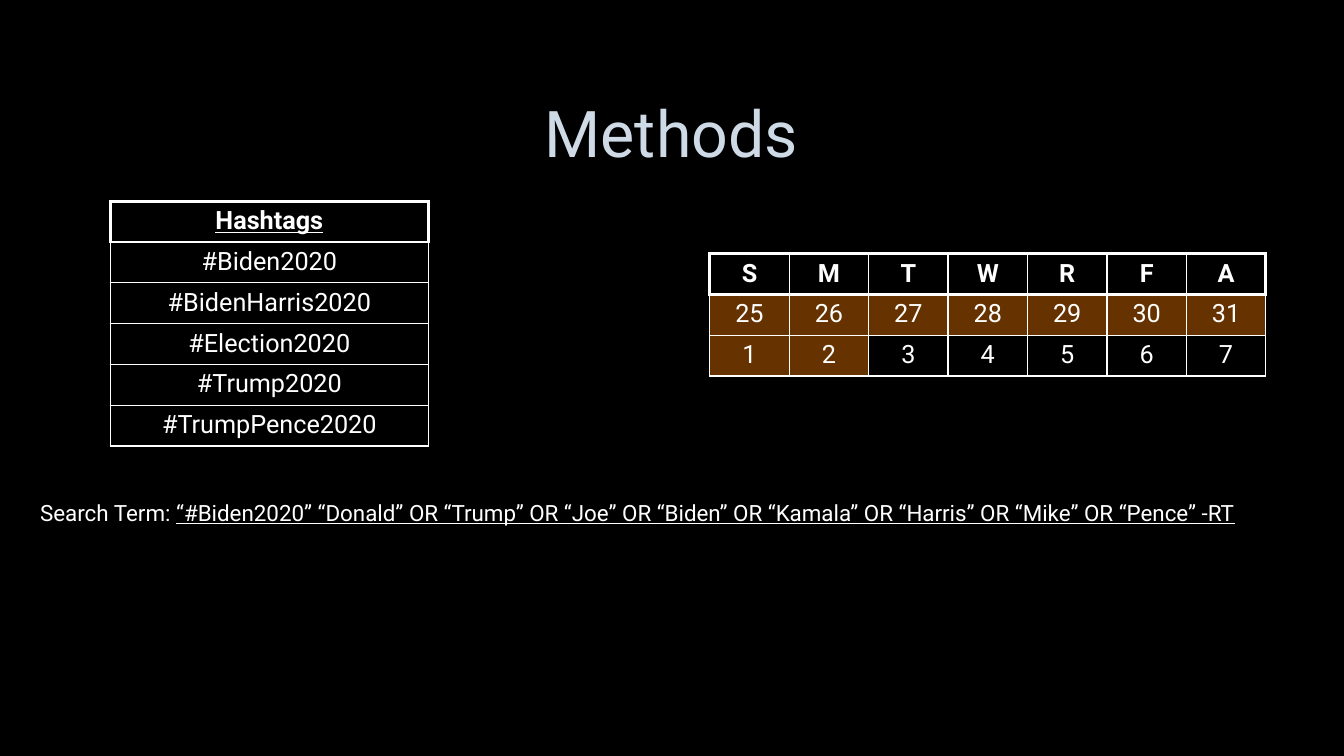
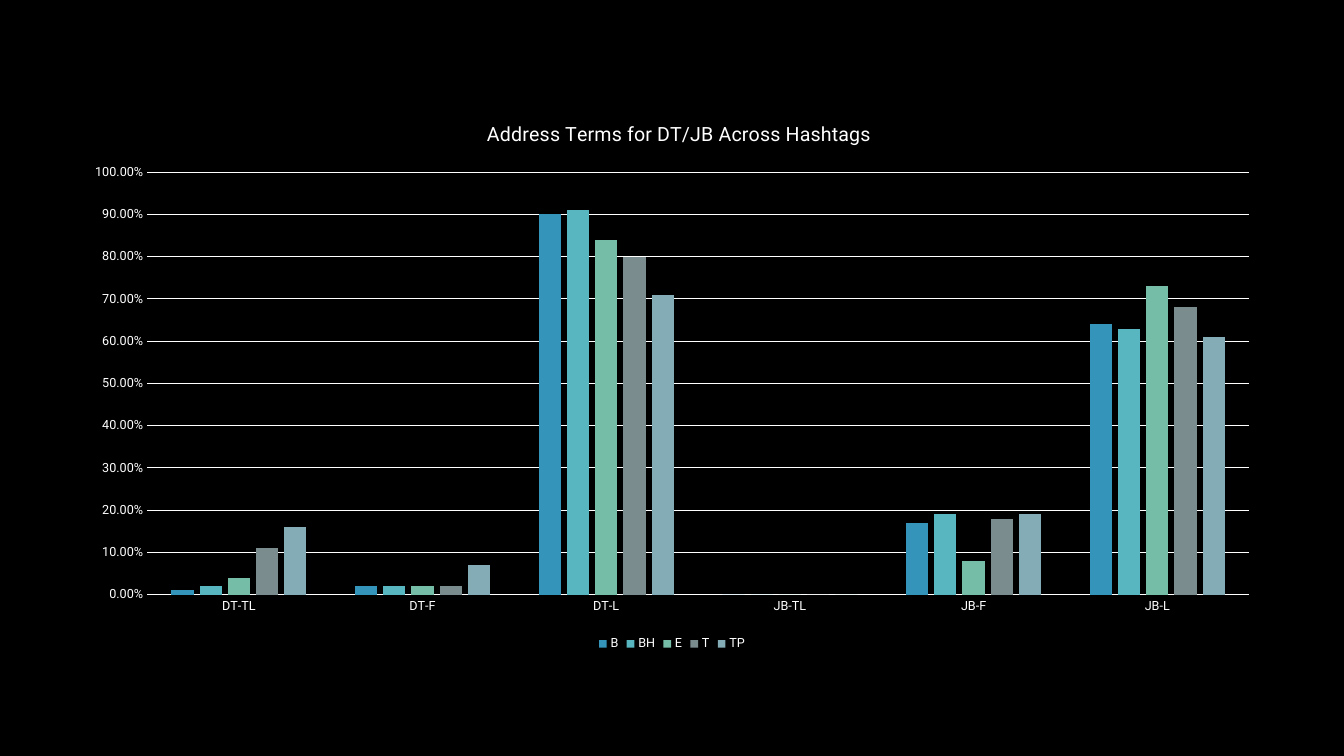
from dataclasses import dataclass
from typing import NamedTuple

from lxml.etree import SubElement
from pptx import Presentation
from pptx.chart.data import CategoryChartData
from pptx.dml.color import RGBColor
from pptx.enum.chart import XL_CHART_TYPE, XL_LEGEND_POSITION, XL_TICK_MARK
from pptx.enum.text import MSO_ANCHOR, MSO_AUTO_SIZE, PP_ALIGN
from pptx.oxml.ns import qn
from pptx.util import Emu, Inches, Pt


@dataclass(frozen=True)
class Theme:
    """Colours, font and type sizes of the deck."""
    font: str = "Roboto"
    background: str = "000000"
    text: str = "FFFFFF"
    title: str = "CEDBE6"
    title_outline: str = "404040"
    highlight: str = "663300"
    title_size: float = 46
    table_size: float = 18
    body_size: float = 16
    chart_title_size: float = 14
    chart_size: float = 9
    thin: float = 1
    thick: float = 2.25
    hairline: float = 0.75


class Box(NamedTuple):
    """Left, top, width and height in grid units."""
    left: float
    top: float
    width: float
    height: float


@dataclass(frozen=True)
class Grid:
    """A table whose first cells below the header may be highlighted."""
    left: float
    top: float
    col_width: float
    rows: list[list[str]]
    highlighted: int = 0
    underline_header: bool = False


class Series(NamedTuple):
    """One chart series."""
    name: str
    color: str
    values: tuple[float, ...]


THEME = Theme()
SLIDE_WIDTH, SLIDE_HEIGHT = Inches(13.33), Inches(7.5)
COLUMNS, ROWS = 160, 90
ROW_HEIGHT = 4.86

TITLE_BOX = Box(12, 8, 135.8, 16.6)
SEARCH_BOX = Box(3.6, 58.8, 152.5, 4.4)
CHART_BOX = Box(8.5, 12.1, 143, 65.9)

HASHTAGS = Grid(13.12, 23.96, 37.9, [
    ["Hashtags"], ["#Biden2020"], ["#BidenHarris2020"],
    ["#Election2020"], ["#Trump2020"], ["#TrumpPence2020"],
], underline_header=True)
CALENDAR = Grid(84.5, 30.2, 9.46, [
    list("SMTWRFA"),
    [str(day) for day in range(25, 32)],
    [str(day) for day in range(1, 8)],
], highlighted=9)

SEARCH_TERM = ("“#Biden2020” “Donald” OR “Trump” OR “Joe” OR “Biden” OR "
               "“Kamala” OR “Harris” OR “Mike” OR “Pence” -RT")

CATEGORIES = ("DT-TL", "DT-F", "DT-L", "JB-TL", "JB-F", "JB-L")
SERIES = (
    Series("B", "3494BA", (0.01, 0.02, 0.9, 0, 0.17, 0.64)),
    Series("BH", "58B6C0", (0.02, 0.02, 0.91, 0, 0.19, 0.63)),
    Series("E", "75BDA7", (0.04, 0.02, 0.84, 0, 0.08, 0.73)),
    Series("T", "7A8C8E", (0.11, 0.02, 0.8, 0, 0.18, 0.68)),
    Series("TP", "84ACB6", (0.16, 0.07, 0.71, 0, 0.19, 0.61)),
)


def rgb(color: str) -> RGBColor:
    """Turn a hex string into a colour."""
    return RGBColor.from_string(color)


def across(columns: float) -> Emu:
    """Length of a number of grid columns."""
    return Emu(round(SLIDE_WIDTH * columns / COLUMNS))


def down(rows: float) -> Emu:
    """Length of a number of grid rows."""
    return Emu(round(SLIDE_HEIGHT * rows / ROWS))


def place(box: Box) -> tuple[Emu, Emu, Emu, Emu]:
    """Convert a grid box to slide lengths."""
    return across(box.left), down(box.top), across(box.width), down(box.height)


def style_font(font, size: float, color: str = THEME.text, bold: bool = False) -> None:
    """Apply the deck font."""
    font.name, font.size, font.bold = THEME.font, Pt(size), bold
    font.color.rgb = rgb(color)


def style_line(line, width: float = THEME.hairline) -> None:
    """Draw a line in the text colour."""
    line.color.rgb = rgb(THEME.text)
    line.width = Pt(width)


def add_slide(prs):
    """Add a blank slide with the dark background."""
    slide = prs.slides.add_slide(prs.slide_layouts[6])
    fill = slide.background.fill
    fill.solid()
    fill.fore_color.rgb = rgb(THEME.background)
    return slide


def add_solid_fill(parent, color: str):
    """Append a solid fill element and return its colour."""
    fill = SubElement(parent, qn("a:solidFill"))
    return SubElement(fill, qn("a:srgbClr"), val=color)


def add_title(slide, text: str) -> None:
    """Add the centred slide title with its faint outline."""
    tf = slide.shapes.add_textbox(*place(TITLE_BOX)).text_frame
    tf.word_wrap = True
    tf.vertical_anchor = MSO_ANCHOR.MIDDLE
    p = tf.paragraphs[0]
    p.alignment, p.line_spacing = PP_ALIGN.CENTER, 0.9
    style_font(p.font, THEME.title_size, THEME.title)
    r = p.add_run()
    r.text = text
    line = SubElement(r._r.get_or_add_rPr(), qn("a:ln"), w=str(Pt(THEME.hairline)))
    SubElement(add_solid_fill(line, THEME.title_outline), qn("a:alpha"), val="10000")


def add_search_term(slide) -> None:
    """Add the search query with its label."""
    tf = slide.shapes.add_textbox(*place(SEARCH_BOX)).text_frame
    tf.word_wrap = True
    tf.auto_size = MSO_AUTO_SIZE.SHAPE_TO_FIT_TEXT
    p = tf.paragraphs[0]
    style_font(p.font, THEME.body_size)
    p.add_run().text = "Search Term: "
    r = p.add_run()
    r.text = SEARCH_TERM
    r.font.underline = True


def set_borders(cell, thick_sides: str) -> None:
    """Border a cell, thick on the named sides and thin elsewhere."""
    for side in "LRTB":
        width = THEME.thick if side in thick_sides else THEME.thin
        line = SubElement(cell._tc.get_or_add_tcPr(), qn(f"a:ln{side}"), w=str(Pt(width)))
        add_solid_fill(line, THEME.text)


def thick_sides(row: int, col: int, cols: int) -> str:
    """Name the sides of a cell that lie on the header's frame."""
    if row > 0:
        return "T" if row == 1 else ""
    return "TB" + "L" * (col == 0) + "R" * (col == cols - 1)


def add_grid(slide, grid: Grid) -> None:
    """Add a bordered table with a framed header row."""
    rows, cols = len(grid.rows), len(grid.rows[0])
    box = Box(grid.left, grid.top, grid.col_width * cols, ROW_HEIGHT * rows)
    table = slide.shapes.add_table(rows, cols, *place(box)).table
    table.first_row = table.horz_banding = False
    for column in table.columns:
        column.width = across(grid.col_width)
    for row, texts in enumerate(grid.rows):
        table.rows[row].height = down(ROW_HEIGHT)
        for col, text in enumerate(texts):
            cell = table.cell(row, col)
            cell.text = text
            p = cell.text_frame.paragraphs[0]
            p.alignment = PP_ALIGN.CENTER
            style_font(p.font, THEME.table_size, bold=row == 0)
            p.font.underline = row == 0 and grid.underline_header
            set_borders(cell, thick_sides(row, col, cols))
            if 0 <= (row - 1) * cols + col < grid.highlighted:
                cell.fill.solid()
                cell.fill.fore_color.rgb = rgb(THEME.highlight)
            else:
                cell.fill.background()


def set_layout(parent, index: int, inner: bool = False, **percents: float) -> None:
    """Fix a chart part at percentages of the chart's size."""
    for old in parent.findall(qn("c:layout")):
        parent.remove(old)
    layout = parent.makeelement(qn("c:layout"))
    parent.insert(index, layout)
    manual = SubElement(layout, qn("c:manualLayout"))
    if inner:
        SubElement(manual, qn("c:layoutTarget"), val="inner")
    for key in "xy":
        SubElement(manual, qn(f"c:{key}Mode"), val="edge")
    for key, percent in percents.items():
        SubElement(manual, qn(f"c:{key}"), val=f"{percent / 100:.4f}")


def add_column_chart(slide, title: str) -> None:
    """Add the clustered columns of address terms by hashtag."""
    data = CategoryChartData(number_format="0.00%")
    data.categories = CATEGORIES
    for series in SERIES:
        data.add_series(series.name, series.values)
    chart = slide.shapes.add_chart(
        XL_CHART_TYPE.COLUMN_CLUSTERED, *place(CHART_BOX), data).chart
    style_font(chart.font, THEME.chart_size)

    chart.has_title = True
    tf = chart.chart_title.text_frame
    tf.text = title
    style_font(tf.paragraphs[0].font, THEME.chart_title_size)
    set_layout(chart.chart_title._element, 1, x=34.3, y=2.7)
    set_layout(chart._chartSpace.chart.plotArea, 0, inner=True,
               x=6.3, y=12.75, w=91.75, h=76.35)

    chart.has_legend = True
    chart.legend.position = XL_LEGEND_POSITION.BOTTOM
    chart.legend.include_in_layout = False
    style_font(chart.legend.font, THEME.chart_size)

    plot = chart.plots[0]
    plot.gap_width, plot.overlap, plot.vary_by_categories = 219, -27, False
    for drawn, series in zip(plot.series, SERIES):
        drawn.format.fill.solid()
        drawn.format.fill.fore_color.rgb = rgb(series.color)

    for axis in (chart.category_axis, chart.value_axis):
        axis.major_tick_mark = axis.minor_tick_mark = XL_TICK_MARK.NONE
        style_font(axis.tick_labels.font, THEME.chart_size)
    style_line(chart.category_axis.format.line)
    values = chart.value_axis
    values.minimum_scale, values.maximum_scale, values.major_unit = 0, 1, 0.1
    values.tick_labels.number_format = "0.00%"
    values.tick_labels.number_format_is_linked = False
    values.format.line.fill.background()
    style_line(values.major_gridlines.format.line)


def main() -> None:
    """Build and save the deck."""
    prs = Presentation()
    prs.slide_width, prs.slide_height = SLIDE_WIDTH, SLIDE_HEIGHT
    methods = add_slide(prs)
    add_title(methods, "Methods")
    for grid in (HASHTAGS, CALENDAR):
        add_grid(methods, grid)
    add_search_term(methods)
    add_column_chart(add_slide(prs), "Address Terms for DT/JB Across Hashtags")
    prs.save("out.pptx")


if __name__ == "__main__":
    main()
